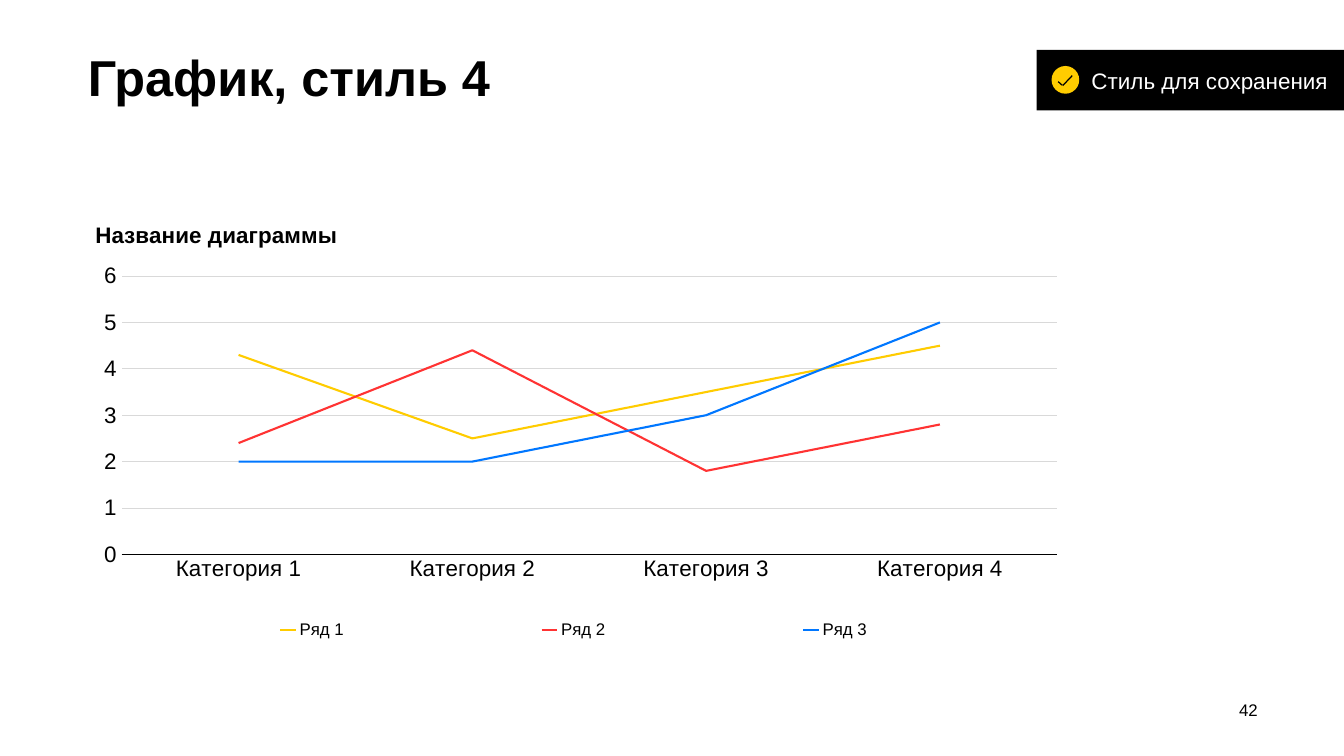
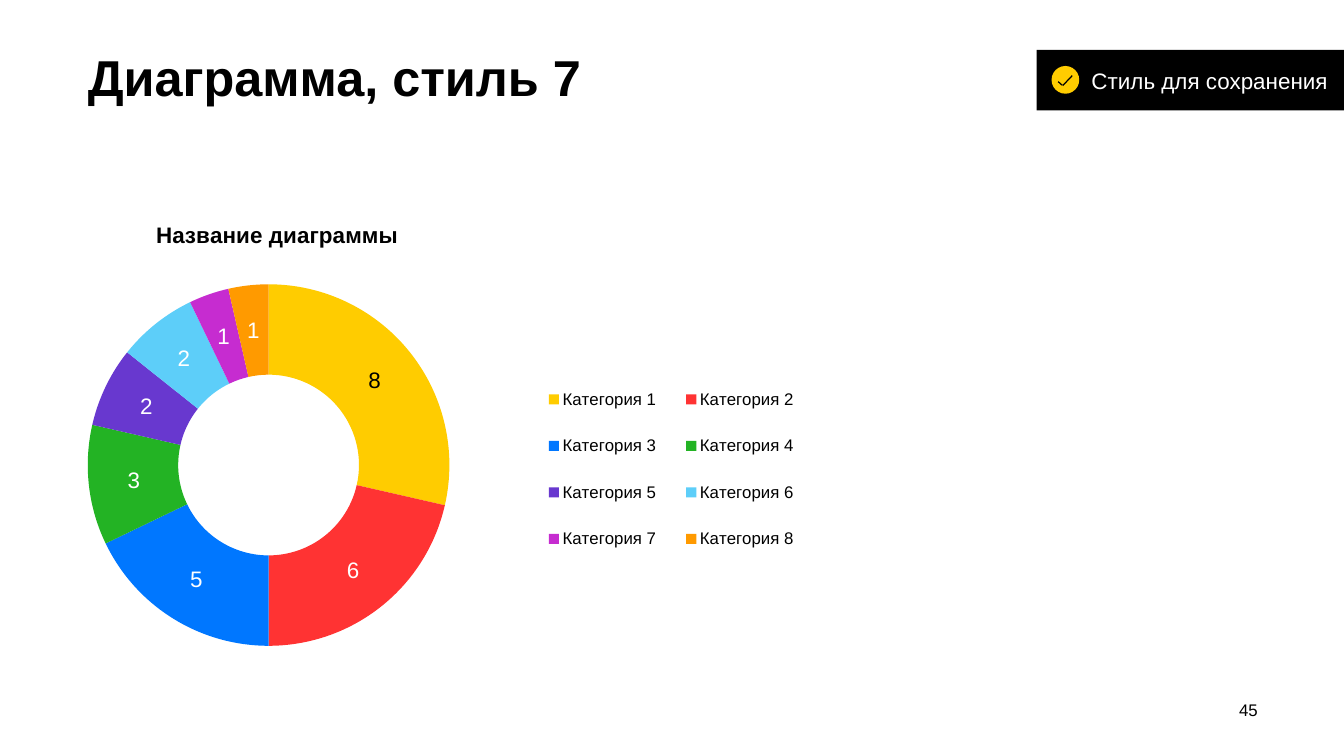
import pptx
import pptx.chart.data
import pptx.enum.chart
import pptx.enum.shapes
import pptx.enum.text
import pptx.oxml
import pptx.oxml.ns
import pptx.util
from pptx.dml.color import RGBColor

Pt = pptx.util.Pt
Kind = pptx.enum.chart.XL_CHART_TYPE
Shape = pptx.enum.shapes.MSO_SHAPE
Mid = pptx.enum.text.MSO_ANCHOR.MIDDLE

# Shared look
BLACK, WHITE, GOLD, GREY = "000000", "FFFFFF", "FFCC00", "D9D9D9"
HUES = [GOLD, "FF3333", "0077FF", "23B324",
        "6838CF", "5DCEF9", "C62CD0", "FF9A00"]
HEAD = {"name": "Arial", "size": Pt(72), "bold": True, "hue": BLACK}
NAME = {"name": "Arial", "size": Pt(32), "bold": True, "hue": BLACK}
BODY = {"name": "Arial", "size": Pt(32), "bold": False, "hue": BLACK}
PALE = {**BODY, "hue": WHITE}
NOTE = {**BODY, "size": Pt(24)}
TAG = "Стиль для сохранения"
CAPTION = "Название диаграммы"

# What each slide holds; spots are percents of the chart: x, y, width, height
PAGES = [
    {"title": "График, стиль 4", "num": "42", "kind": Kind.LINE,
     "top": 23.13, "tall": 63.47, "cats": 4,
     "rows": {"Ряд 1": [4.3, 2.5, 3.5, 4.5],
              "Ряд 2": [2.4, 4.4, 1.8, 2.8],
              "Ряд 3": [2, 2, 3, 5]},
     "spots": {"plotArea": (2.9, 21.1, 79.9, 58),
               "title": (0.3, 8.6),
               "legend": (0, 90.8, 83, 8)}},
    {"title": "Диаграмма, стиль 7", "num": "45", "kind": Kind.DOUGHNUT,
     "top": 25.47, "tall": 64.2, "cats": 8,
     "rows": {"Series 1": [8, 6, 5, 3, 2, 2, 1, 1]},
     "spots": {"plotArea": (0, 18.7, 30.9, 74.9),
               "title": (5.5, 4.8),
               "legend": (37.3, 35, 25.1, 44)}},
]

deck = pptx.Presentation()
deck.slide_width = pptx.util.Inches(26.66)
deck.slide_height = pptx.util.Inches(15)

# Grid of 100 columns by 100 rows
COL = deck.slide_width / 100
ROW = deck.slide_height / 100
LEFT, WIDE = 6.53, 87.08


def grid(x, y, w, h):
    return [int(x * COL), int(y * ROW), int(w * COL), int(h * ROW)]


def dress(thing, vals):
    for key, val in vals.items():
        if key == "hue":
            thing.fill.solid()
            thing.fill.fore_color.rgb = RGBColor.from_string(val)
        else:
            setattr(thing, key, val)


for page in PAGES:
    slide = deck.slides.add_slide(deck.slide_layouts[5])

    # Title
    title = slide.shapes.title
    spot = grid(LEFT, 4, WIDE, 10.6)
    dress(title, dict(zip(("left", "top", "width", "height"), spot)))
    title.text_frame.text = page["title"]
    dress(title.text_frame, {
        "margin_left": 0, "margin_right": 0, "margin_bottom": 0,
        "margin_top": Pt(16), "vertical_anchor": Mid, "word_wrap": True,
        "auto_size": pptx.enum.text.MSO_AUTO_SIZE.NONE})
    para = title.text_frame.paragraphs[0]
    para.alignment = pptx.enum.text.PP_ALIGN.LEFT
    dress(para.font, HEAD)

    # Page number
    foot = slide.shapes.add_textbox(*grid(89.08, 92, 4.5, 3.2)).text_frame
    foot.text = page["num"]
    dress(foot, {"margin_left": 0, "margin_right": 0, "margin_bottom": 0,
                 "margin_top": Pt(6), "vertical_anchor": Mid,
                 "word_wrap": True})
    foot.paragraphs[0].alignment = pptx.enum.text.PP_ALIGN.RIGHT
    dress(foot.paragraphs[0].font, NOTE)

    # Chart with its data
    data = pptx.chart.data.CategoryChartData()
    data.categories = [f"Категория {n + 1}" for n in range(page["cats"])]
    for name, vals in page["rows"].items():
        data.add_series(name, vals)
    chart = slide.shapes.add_chart(
        page["kind"], *grid(LEFT, page["top"], WIDE, page["tall"]),
        data).chart
    dress(chart.font, {**BODY, "size": Pt(10)})

    # Chart title and legend
    chart.has_title = True
    chart.chart_title.text_frame.text = CAPTION
    dress(chart.chart_title.text_frame.paragraphs[0].runs[0].font, NAME)
    chart.has_legend = True
    dress(chart.legend, {
        "position": pptx.enum.chart.XL_LEGEND_POSITION.BOTTOM,
        "include_in_layout": False})
    dress(chart.legend.font, NOTE)

    # Fixed places for plot, title and legend
    for part, spot in page["spots"].items():
        node = chart._chartSpace.xpath(f"c:chart/c:{part}")[0]
        for old in node.xpath("c:layout"):
            node.remove(old)
        inner = '<c:layoutTarget val="inner"/>' if part == "plotArea" else ""
        modes = "".join(f'<c:{k}Mode val="edge"/>' for k in "xy")
        sides = "".join(f'<c:{k} val="{v / 100:.3f}"/>'
                        for k, v in zip("xywh", spot))
        layout = pptx.oxml.parse_xml(
            f"<c:layout {pptx.oxml.ns.nsdecls('c')}><c:manualLayout>"
            f"{inner}{modes}{sides}</c:manualLayout></c:layout>")
        if part == "plotArea":
            node.insert(0, layout)
        else:
            node.xpath("c:overlay")[0].addprevious(layout)

    plot = chart.plots[0]
    if page["kind"] == Kind.LINE:
        # Lines and axes
        plot.vary_by_categories = False
        for row, hue in zip(plot.series, HUES):
            row.smooth = False
            dress(row.format.line, {"width": Pt(3), "hue": hue})
        mark = pptx.enum.chart.XL_TICK_MARK
        xax, yax = chart.category_axis, chart.value_axis
        dress(xax, {"major_tick_mark": mark.NONE})
        dress(xax.format.line, {"width": Pt(1), "hue": BLACK})
        dress(yax, {"major_tick_mark": mark.OUTSIDE, "minimum_scale": 0,
                    "maximum_scale": 6, "major_unit": 1,
                    "has_major_gridlines": True})
        yax.format.line.fill.background()
        dress(yax.major_gridlines.format.line, {"width": Pt(1), "hue": GREY})
        for axis in (xax, yax):
            dress(axis.tick_labels.font, BODY)
    else:
        # Ring slices and their values
        plot.vary_by_categories = True
        chart._chartSpace.xpath("//c:holeSize")[0].set("val", "65")
        ring = plot.series[0]
        for n, hue in enumerate(HUES):
            dress(ring.points[n].format, {"hue": hue})
        dress(ring.data_labels, {"show_value": True,
                                 "show_percentage": False})
        dress(ring.data_labels.font, PALE)
        dress(ring.points[0].data_label.font, BODY)

    # Corner tag with a check mark
    tag = slide.shapes.add_group_shape().shapes
    for form, spot, hue in (
            (Shape.RECTANGLE, (77.12, 6.6, 22.9, 8), BLACK),
            (Shape.OVAL, (78.24, 8.73, 2.06, 3.67), GOLD)):
        item = tag.add_shape(form, *grid(*spot))
        item.shadow.inherit = False
        dress(item, {"hue": hue})
        item.line.fill.background()
        if form == Shape.RECTANGLE:
            frame = item.text_frame
            frame.text = TAG
            dress(frame, {"margin_left": int(4.09 * COL),
                          "margin_right": Pt(7), "vertical_anchor": Mid,
                          "margin_top": Pt(17), "margin_bottom": Pt(17),
                          "word_wrap": False})
            frame.paragraphs[0].alignment = pptx.enum.text.PP_ALIGN.LEFT
            dress(frame.paragraphs[0].font, PALE)
    for ends in ((78.73, 10.8, 79.03, 11.27), (79.07, 11.33, 79.78, 10)):
        line = tag.add_connector(
            pptx.enum.shapes.MSO_CONNECTOR.STRAIGHT, *grid(*ends))
        dress(line.line, {"width": Pt(1.75), "hue": BLACK})
        line._element.spPr.append(pptx.oxml.parse_xml(
            f"<a:effectLst {pptx.oxml.ns.nsdecls('a')}/>"))

deck.save("out.pptx")
